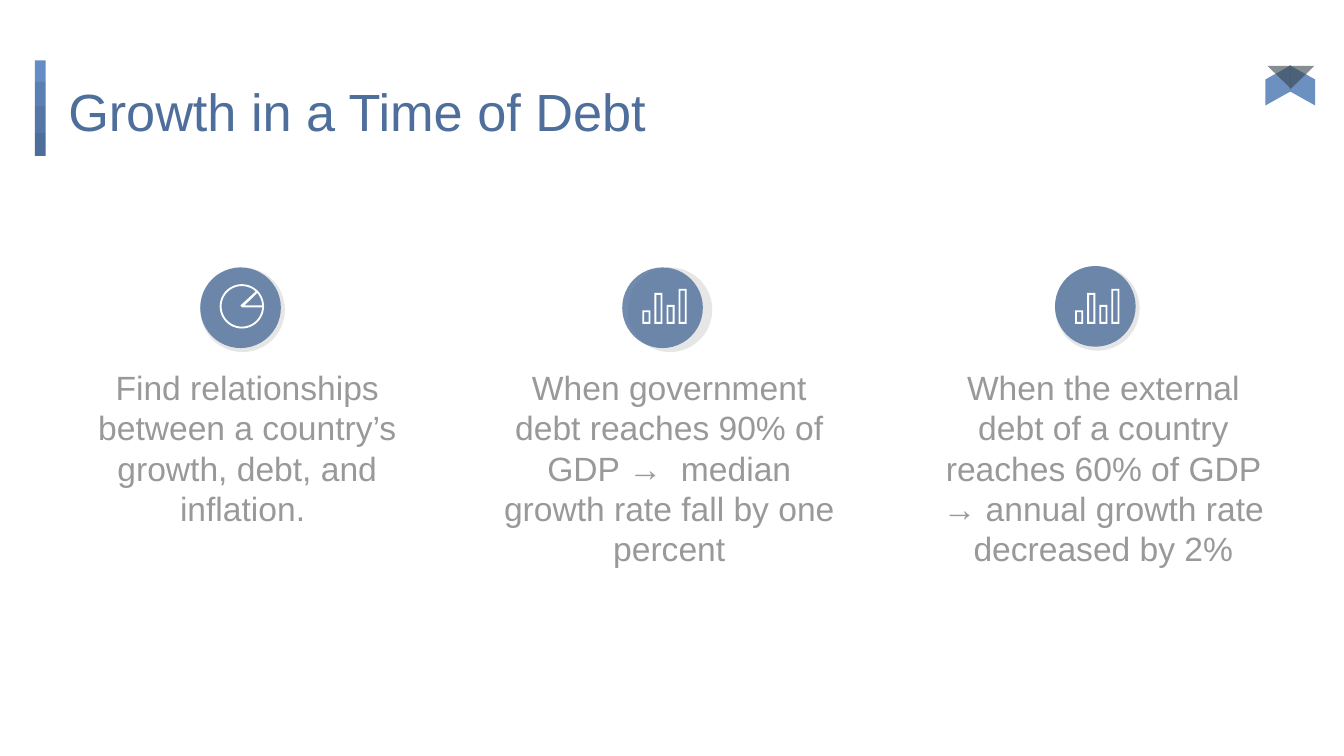
import math
from dataclasses import dataclass

import pptx
import pptx.dml.color
import pptx.enum.shapes
import pptx.enum.text
import pptx.oxml.ns
import pptx.util
from lxml import etree
from pptx.util import Inches

KINDS = pptx.enum.shapes.MSO_SHAPE
ALIGN = pptx.enum.text.PP_ALIGN
Point = tuple[float, float]
Contour = list[Point]

BLUE = "4E6E9A"
GREY = "595959"
WHITE = "FFFFFF"
DISC = 0.6
SHADOW = 0.63
RIM = 1 / 72
TEXT_TOP = 2.63
TEXT_WIDTH = 2.7


@dataclass
class Finding:
    text: str
    text_left: float
    text_height: float
    disc_left: float
    disc_top: float
    shadow_left: float
    icon: list[Contour]


def paint(shape, color: str, opacity: int = 100) -> None:
    """Fill a shape without line or shadow; opacity is in percent."""
    shape.shadow.inherit = False
    shape.line.fill.background()
    shape.fill.solid()
    shape.fill.fore_color.rgb = pptx.dml.color.RGBColor.from_string(color)
    if opacity < 100:
        tag = pptx.oxml.ns.qn("a:srgbClr")
        node = next(shape._element.spPr.iter(tag))
        etree.SubElement(node, pptx.oxml.ns.qn("a:alpha"), val=str(opacity * 1000))


def add_shape(page, kind, left: float, top: float, width: float, height: float,
              color: str, opacity: int = 100, rotation: int = 0,
              flip: bool = False, adjust: float | None = None) -> None:
    shape = page.shapes.add_shape(
        kind, Inches(left), Inches(top), Inches(width), Inches(height))
    paint(shape, color, opacity)
    shape.rotation = rotation
    if flip:
        shape._element.spPr.xfrm.set("flipH", "1")
    if adjust is not None:
        shape.adjustments[0] = adjust


def add_text(page, text: str, left: float, top: float, width: float, height: float,
             *, size: int, color: str, align=ALIGN.LEFT) -> None:
    box = page.shapes.add_textbox(
        Inches(left), Inches(top), Inches(width), Inches(height))
    frame = box.text_frame
    frame.word_wrap = True
    frame.margin_left = frame.margin_right = Inches(0.1)
    frame.margin_top = frame.margin_bottom = Inches(0.1)
    para = frame.paragraphs[0]
    para.alignment = align
    span = para.add_run()
    span.text = text
    span.font.name = "Arial"
    span.font.size = pptx.util.Pt(size)
    span.font.color.rgb = pptx.dml.color.RGBColor.from_string(color)


def add_icon(page, contours: list[Contour]) -> None:
    """Draw contours as one white shape; inner contours become holes."""
    scaled = [[(Inches(x), Inches(y)) for x, y in contour] for contour in contours]
    builder = page.shapes.build_freeform(*scaled[0][0])
    for index, (start, *rest) in enumerate(scaled):
        if index:
            builder.move_to(*start)
        builder.add_line_segments(rest, close=True)
    paint(builder.convert_to_shape(), WHITE)


def arc(x: float, y: float, radius: float, first: int, last: int) -> Contour:
    """Points on a circle, clockwise, with angles in degrees."""
    angles = [math.radians(first + (last - first) * step / 48) for step in range(49)]
    return [(x + radius * math.cos(a), y + radius * math.sin(a)) for a in angles]


def pie_icon(x: float, y: float) -> list[Contour]:
    outer = 0.33 / 2
    inner = outer - RIM
    return [
        arc(x, y, outer, 0, 360),
        [(x + 0.02, y - RIM / 2)] + arc(x, y, inner, -41, -3),
        [(x - 0.01, y - RIM / 2), (x, y + RIM / 2)] + arc(x, y, inner, 3, 313),
    ]


def bars_icon(left: float) -> list[Contour]:
    bottom, width, pitch = 2.41, 0.06, 0.09
    contours = []
    for index, top in enumerate([2.31, 2.18, 2.27, 2.15]):
        start = left + index * pitch
        for inset in (0, RIM):
            x1, x2 = start + inset, start + width - inset
            y1, y2 = top + inset, bottom - inset
            contours.append([(x1, y1), (x2, y1), (x2, y2), (x1, y2)])
    return contours


def add_title_bar(page) -> None:
    top = 0.45
    for height, color in [(0.16, "648DC6"), (0.18, "5A7FB3"),
                          (0.2, "5477A7"), (0.17, BLUE)]:
        add_shape(page, KINDS.RECTANGLE, 0.26, top, 0.08, height, color)
        top += height


def add_corner_ribbon(page) -> None:
    for left, flip in [(9.54, False), (9.36, True)]:
        add_shape(page, KINDS.PARALLELOGRAM, left, 0.54, 0.3, 0.19, "5E85B9",
                  opacity=91, rotation=90, flip=flip, adjust=0.56)
    add_shape(page, KINDS.ISOSCELES_TRIANGLE, 9.43, 0.49, 0.35, 0.17, "38444A",
              opacity=60, rotation=180)


def add_finding(page, finding: Finding) -> None:
    for left, size, color, opacity in [(finding.shadow_left, SHADOW, GREY, 15),
                                       (finding.disc_left, DISC, BLUE, 80)]:
        add_shape(page, KINDS.OVAL, left, finding.disc_top, size, size, color, opacity)
    add_text(page, finding.text, finding.text_left, TEXT_TOP, TEXT_WIDTH,
             finding.text_height, size=18, color="999999", align=ALIGN.CENTER)
    add_icon(page, finding.icon)


FINDINGS = [
    Finding("Find relationships between a country’s growth, debt, and inflation. ",
            0.49, 1.51, 1.49, 1.99, 1.49, pie_icon(1.8, 2.28)),
    Finding("When government debt reaches 90% of GDP →  median growth rate "
            "fall by one percent",
            3.63, 1.51, 4.63, 1.99, 4.67, bars_icon(4.78)),
    Finding("When the external debt of a country reaches 60% of GDP → annual "
            "growth rate decreased by 2%",
            6.86, 2.48, 7.85, 1.98, 7.85, bars_icon(8)),
]


def main() -> None:
    deck = pptx.Presentation()
    deck.slide_width = Inches(10)
    deck.slide_height = Inches(10 * 9 / 16)
    page = deck.slides.add_slide(deck.slide_layouts[6])
    add_title_bar(page)
    add_text(page, "Growth in a Time of Debt", 0.41, 0.49, 9.25, 0.63,
             size=28, color="4E6F9B")
    add_corner_ribbon(page)
    for finding in FINDINGS:
        add_finding(page, finding)
    deck.save("out.pptx")


if __name__ == "__main__":
    main()
